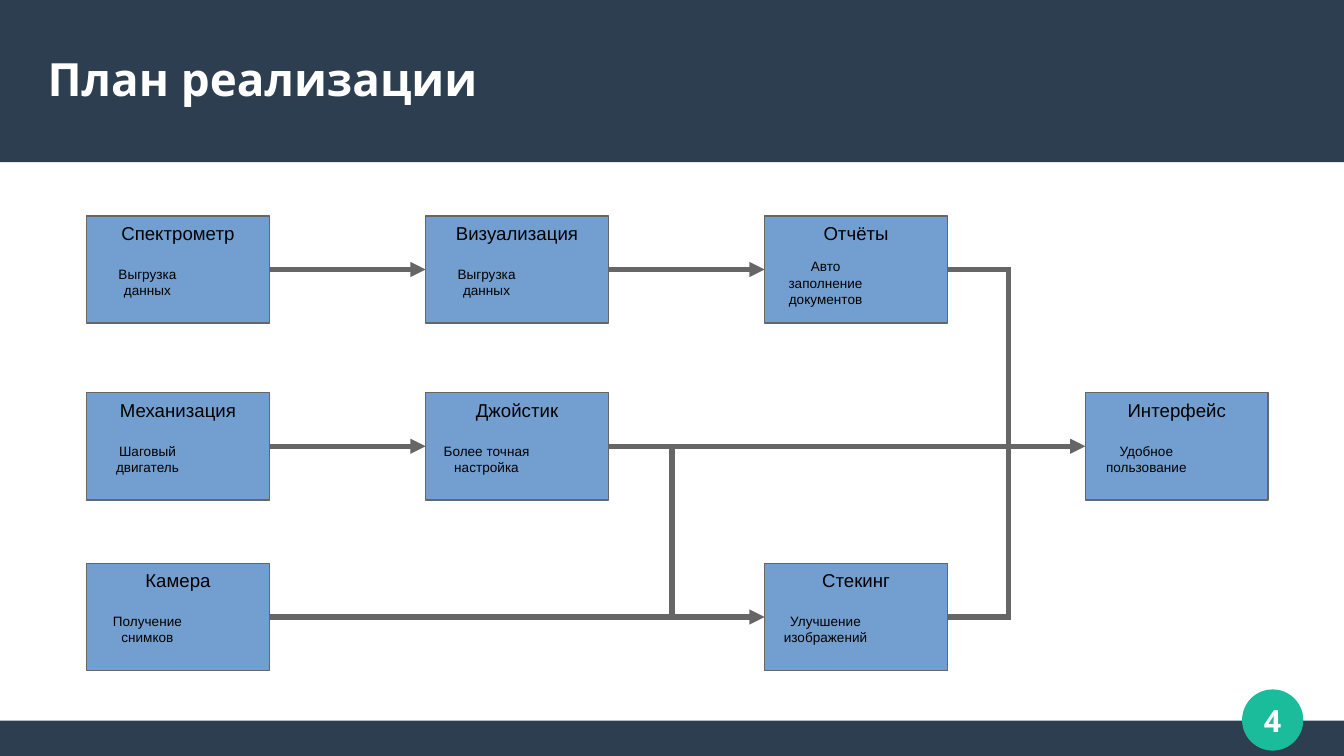
from lxml import etree
from pptx import Presentation
from pptx import util as u
from pptx.dml.color import RGBColor
from pptx.enum import shapes, text
from pptx.oxml.ns import qn

TITLE = "План реализации"
PAGE_NUMBER = "4"

# name: (column, row, paragraphs of the description)
STAGES = {
    "Спектрометр": (0, 0, ["Выгрузка данных"]),
    "Механизация": (0, 1, ["Шаговый двигатель"]),
    "Камера": (0, 2, ["Получение снимков"]),
    "Джойстик": (1, 1, ["Более точная настройка"]),
    "Визуализация": (1, 0, ["Выгрузка данных"]),
    "Отчёты": (2, 0, ["Авто заполнение", "документов"]),
    "Стекинг": (2, 2, ["Улучшение изображений"]),
    "Интерфейс": (3, 1, ["Удобное пользование"]),
}
ARROWS = [
    ("Спектрометр", "Визуализация"),
    ("Механизация", "Джойстик"),
    ("Камера", "Стекинг"),
    ("Визуализация", "Отчёты"),
    ("Джойстик", "Интерфейс"),
]
MERGING = ["Отчёты", "Стекинг"]

WIDTH, HEIGHT = 11.02, 6.2
COLUMNS = [0.71, 3.49, 6.27, 8.9]
ROWS = [1.77, 3.22, 4.62]
BOX_WIDTH, BOX_HEIGHT = 1.5, 0.88
MIDDLES = [top + BOX_HEIGHT / 2 for top in ROWS]
BRANCH_X, MERGE_X = 5.51, 8.27
HEADER_HEIGHT, FOOTER_HEIGHT = 1.33, 0.29
BADGE = 0.49
LINE_WIDTH = 3
RIGHT, LEFT = 3, 1

NAVY = RGBColor(0x2C, 0x3E, 0x50)
GREEN = RGBColor(0x1A, 0xBC, 0x9C)
BLUE = RGBColor(0x72, 0x9F, 0xCF)
GRAY = RGBColor(0x66, 0x66, 0x66)
WHITE = RGBColor(0xFF, 0xFF, 0xFF)
BLACK = RGBColor(0, 0, 0)


def inches(*lengths):
    return [u.Inches(length) for length in lengths]


def write(shape, paragraphs, size, font="Arial", color=BLACK, bold=False,
          align=text.PP_ALIGN.CENTER, anchor=text.MSO_ANCHOR.TOP, margins=(0.1, 0.05)):
    frame = shape.text_frame
    frame.word_wrap = True
    frame.auto_size = text.MSO_AUTO_SIZE.NONE
    frame.vertical_anchor = anchor
    frame.margin_left = frame.margin_right = u.Inches(margins[0])
    frame.margin_top = frame.margin_bottom = u.Inches(margins[1])
    frame.text = "\n".join(paragraphs)
    for paragraph in frame.paragraphs:
        paragraph.alignment = align
        paragraph.font.size = u.Pt(size)
        paragraph.font.name = font
        paragraph.font.bold = bold
        paragraph.font.color.rgb = color


def add_block(slide, kind, box, fill, line=None, line_width=1):
    shape = slide.shapes.add_shape(kind, *inches(*box))
    shape.shadow.inherit = False
    shape.fill.solid()
    shape.fill.fore_color.rgb = fill
    if line is None:
        shape.line.fill.background()
    else:
        shape.line.color.rgb = line
        shape.line.width = u.Pt(line_width)
    return shape


def add_line(slide, start, end, arrow=False):
    line = slide.shapes.add_connector(shapes.MSO_CONNECTOR.STRAIGHT, *inches(*start, *end))
    line.line.color.rgb = GRAY
    line.line.width = u.Pt(LINE_WIDTH)
    properties = line._element.spPr
    if arrow:
        etree.SubElement(properties.find(qn("a:ln")), qn("a:tailEnd"), type="triangle")
    etree.SubElement(properties, qn("a:effectLst"))
    return line


def add_frame(slide):
    """Bands, page badge and title."""
    rectangle = shapes.MSO_SHAPE.RECTANGLE
    add_block(slide, rectangle, (0, HEIGHT - FOOTER_HEIGHT, WIDTH, FOOTER_HEIGHT), NAVY)
    add_block(slide, rectangle, (0, 0, WIDTH, HEADER_HEIGHT), NAVY)
    badge = add_block(slide, shapes.MSO_SHAPE.OVAL, (10.19, 5.66, BADGE, BADGE),
                      GREEN, GREEN, 0.85)
    heading = dict(font="Noto Sans", color=WHITE, bold=True,
                   anchor=text.MSO_ANCHOR.MIDDLE, margins=(0, 0))
    write(badge, [PAGE_NUMBER], 18, **heading)

    title = slide.shapes.title
    title.left, title.top, title.width, title.height = inches(0.39, 0.25, 10.23, 0.78)
    write(title, [TITLE], 27, align=text.PP_ALIGN.LEFT, **heading)
    slide.shapes._spTree.append(title._element)  # in front of the header band


def add_stage(slide, name, column, row, description):
    left, top = COLUMNS[column], ROWS[row]
    box = add_block(slide, shapes.MSO_SHAPE.RECTANGLE,
                    (left, top, BOX_WIDTH, BOX_HEIGHT), BLUE, GRAY)
    write(box, [name], 11)
    offset, height = (0.36, 0.46) if len(description) == 1 else (0.3, 0.56)
    caption = slide.shapes.add_textbox(*inches(left, top + offset, 1, height))
    write(caption, description, 8)
    return box


def main():
    presentation = Presentation()
    presentation.slide_width, presentation.slide_height = inches(WIDTH, HEIGHT)
    slide = presentation.slides.add_slide(presentation.slide_layouts[5])
    add_frame(slide)
    boxes = {name: add_stage(slide, name, *stage) for name, stage in STAGES.items()}

    for source, target in ARROWS:
        arrow = add_line(slide, (0, 0), (0, 0), arrow=True)
        arrow.begin_connect(boxes[source], RIGHT)
        arrow.end_connect(boxes[target], LEFT)

    add_line(slide, (BRANCH_X, MIDDLES[1]), (BRANCH_X, MIDDLES[2]))
    add_line(slide, (MERGE_X, MIDDLES[0]), (MERGE_X, MIDDLES[2]))
    for name in MERGING:
        column, row, _ = STAGES[name]
        stub = add_line(slide, (COLUMNS[column] + BOX_WIDTH, MIDDLES[row]),
                        (MERGE_X + 0.02, MIDDLES[row]))
        stub.begin_connect(boxes[name], RIGHT)

    presentation.save("out.pptx")


if __name__ == "__main__":
    main()
